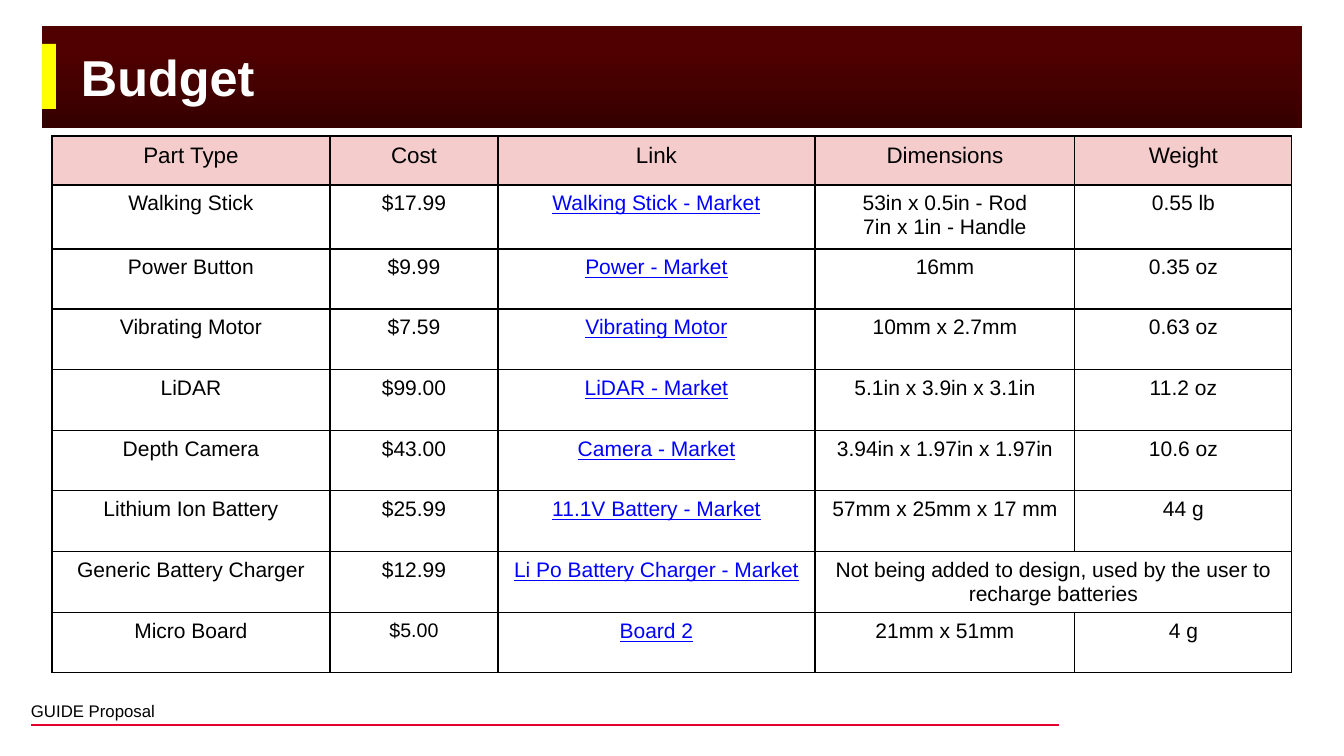
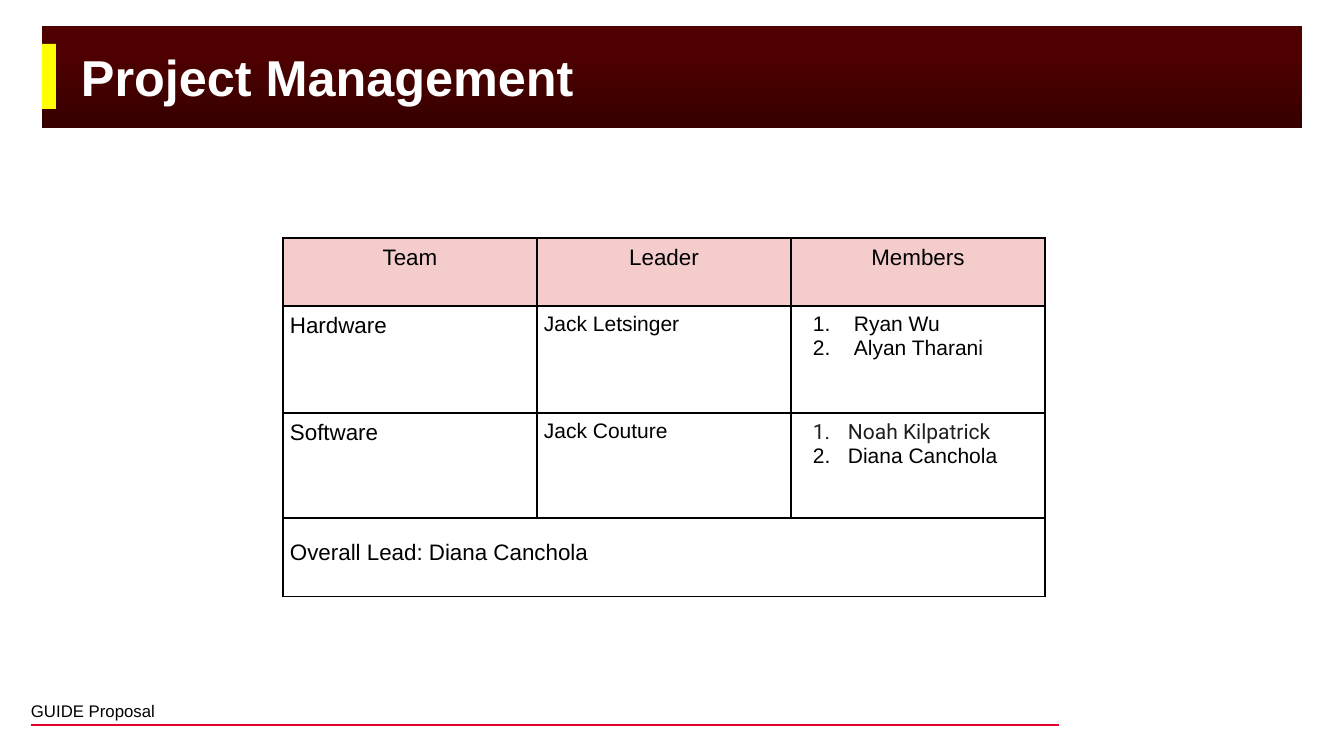
from dataclasses import dataclass

from lxml.etree import SubElement
from pptx import Presentation
from pptx.dml.color import RGBColor as Rgb
from pptx.enum.shapes import MSO_CONNECTOR as Connector, MSO_SHAPE as Shape
from pptx.enum.text import MSO_ANCHOR as Anchor, PP_ALIGN as Align
from pptx.oxml.ns import qn
from pptx.util import Emu, Pt


@dataclass(frozen=True)
class Theme:
    ink: str = "000000"
    soft_ink: str = "1F1F1F"
    white: str = "FFFFFF"
    link: str = "0000FF"
    band_low: str = "370000"
    band_high: str = "500000"
    accent: str = "FFFF00"
    rule: str = "E4002B"
    header: str = "F4CCCC"
    font: str = "Arial"
    alt_font: str = "Roboto"
    title_size: int = 36
    head_size: int = 16
    body_size: int = 15
    small_size: int = 14
    footer_size: int = 12


THEME = Theme()
PX = 914400 / 100.8
CELL_INSET = 7
CELL_BOTTOM = 3


def px(*lengths):
    return [Emu(round(length * PX)) for length in lengths]


def write(frame, text, size=THEME.body_size, color=THEME.ink, font=THEME.font,
          bold=False, underline=False, align=Align.LEFT, number_indent=None):
    """Add one paragraph; number_indent is (text indent, number offset) in px."""
    frame.word_wrap = True
    first = frame.paragraphs[0]
    paragraph = frame.add_paragraph() if first.runs else first
    paragraph.alignment = align
    if number_indent:
        margin, offset = px(*number_indent)
        props = paragraph._p.get_or_add_pPr()
        props.set("marL", str(margin))
        props.set("indent", str(offset))
        SubElement(SubElement(props, qn("a:buClr")), qn("a:srgbClr"), val=color)
        SubElement(props, qn("a:buFont"), typeface=font)
        SubElement(props, qn("a:buAutoNum"), type="arabicPeriod")
    run = paragraph.add_run()
    run.text = text
    run.font.name, run.font.size = font, Pt(size)
    run.font.bold, run.font.underline = bold, underline
    run.font.color.rgb = Rgb.from_string(color)


# Budget content: part, cost, link, dimensions, weight
budget_head = ["Part Type", "Cost", "Link", "Dimensions", "Weight"]
budget_parts = [
    ["Walking Stick", "$17.99", "Walking Stick - Market",
     "53in x 0.5in - Rod\n7in x 1in - Handle", "0.55 lb"],
    ["Power Button", "$9.99", "Power - Market", "16mm", "0.35 oz"],
    ["Vibrating Motor", "$7.59", "Vibrating Motor", "10mm x 2.7mm", "0.63 oz"],
    ["LiDAR", "$99.00", "LiDAR - Market", "5.1in x 3.9in x 3.1in", "11.2 oz"],
    ["Depth Camera", "$43.00", "Camera - Market", "3.94in x 1.97in x 1.97in", "10.6 oz"],
    ["Lithium Ion Battery", "$25.99", "11.1V Battery - Market",
     "57mm x 25mm x 17 mm", "44 g"],
    ["Generic Battery Charger", "$12.99", "Li Po Battery Charger - Market",
     "Not being added to design, used by the user to recharge batteries", None],
    ["Micro Board", "$5.00", "Board 2", "21mm x 51mm", "4 g"],
]
# A cell is a list of (text, format) paragraphs; None continues the cell to its left
heading = dict(size=THEME.head_size, align=Align.CENTER)
centred = dict(align=Align.CENTER)
linked = dict(centred, color=THEME.link, underline=True)
budget_formats = [centred, centred, linked, centred, centred]
budget_rows = [[[(label, heading)] for label in budget_head]]
for part in budget_parts:
    budget_rows.append([
        text and [(line, look) for line in text.split("\n")]
        for text, look in zip(part, budget_formats)])
budget_rows[-1][1] = [("$5.00", dict(centred, size=THEME.small_size))]

# Team content
large = dict(size=THEME.head_size)
wide_number = dict(number_indent=(56, -41))
number = dict(number_indent=(50, -35))
team_rows = [
    [[(label, heading)] for label in ("Team", "Leader", "Members")],
    [[("Hardware", large)], [("Jack Letsinger", {})],
     [("Ryan Wu", wide_number), ("Alyan Tharani", wide_number)]],
    [[("Software", large)], [("Jack Couture", {})],
     [("Noah Kilpatrick", dict(number, font=THEME.alt_font, color=THEME.soft_ink)),
      ("Diana Canchola", number)]],
    [[("Overall Lead: Diana Canchola", large)], None, None],
]

# Title, table corner, column widths, row heights, rows, top inset of the last row
pages = [
    ("Budget", (52, 136), [278, 168, 317, 260, 217],
     [49, 64, 60, 61, 61, 60, 61, 61, 60], budget_rows, CELL_INSET),
    ("Project Management", (283, 238), [254] * 3,
     [68, 107, 105, 79], team_rows, 22),
]

deck = Presentation()
deck.slide_width, deck.slide_height = px(1344, 756)

for title, corner, widths, heights, rows, last_inset in pages:
    slide = deck.slides.add_slide(deck.slide_layouts[6])
    shapes = slide.shapes

    # Footer rule
    rule = shapes.add_connector(Connector.STRAIGHT, *px(31, 725, 1059, 725))
    rule.line.color.rgb = Rgb.from_string(THEME.rule)
    rule.line.width = Pt(1)
    SubElement(rule._element.spPr, qn("a:effectLst"))

    # Title band and accent
    band = shapes.add_shape(Shape.RECTANGLE, *px(42, 26, 1260, 102))
    band.fill.gradient()
    band.fill.gradient_angle = 90
    shades = [(0.05, THEME.band_low), (0.76, THEME.band_high)]
    for stop, (position, shade) in zip(band.fill.gradient_stops, shades):
        stop.position = position
        stop.color.rgb = Rgb.from_string(shade)
    accent = shapes.add_shape(Shape.RECTANGLE, *px(42, 44, 14, 65))
    accent.fill.solid()
    accent.fill.fore_color.rgb = Rgb.from_string(THEME.accent)
    for block in (band, accent):
        block.line.fill.background()
        block.shadow.inherit = False

    # Footer and title text
    for text, place, anchor, insets, look in [
        ("GUIDE Proposal", (31, 701, 1028, 20), Anchor.BOTTOM, (0, 0),
         dict(size=THEME.footer_size)),
        (title, (71, 25, 848, 102), Anchor.MIDDLE, (10, 5),
         dict(size=THEME.title_size, color=THEME.white, bold=True)),
    ]:
        frame = shapes.add_textbox(*px(*place)).text_frame
        frame.vertical_anchor = anchor
        side, edge = px(*insets)
        frame.margin_left = frame.margin_right = side
        frame.margin_top = frame.margin_bottom = edge
        write(frame, text, **look)

    # Table
    table = shapes.add_table(len(rows), len(widths),
                             *px(*corner, sum(widths), sum(heights))).table
    table.first_row = table.horz_banding = False
    for column, width in zip(table.columns, px(*widths)):
        column.width = width
    for line, height in zip(table.rows, px(*heights)):
        line.height = height

    for r, row in enumerate(rows):
        for c, content in enumerate(row):
            cell = table.cell(r, c)
            inset, low_inset, bottom = px(CELL_INSET, last_inset, CELL_BOTTOM)
            cell.margin_left = cell.margin_right = inset
            cell.margin_top = low_inset if r == len(rows) - 1 else inset
            cell.margin_bottom = bottom
            props = cell._tc.get_or_add_tcPr()
            for side in ("lnL", "lnR", "lnT", "lnB"):
                border = SubElement(props, qn(f"a:{side}"), w=str(Pt(1)))
                ink = SubElement(border, qn("a:solidFill"))
                SubElement(ink, qn("a:srgbClr"), val=THEME.ink)
            if r == 0:
                cell.fill.solid()
                cell.fill.fore_color.rgb = Rgb.from_string(THEME.header)
            else:
                cell.fill.background()
            for text, look in content or []:
                write(cell.text_frame, text, **look)
        if None in row:
            table.cell(r, row.index(None) - 1).merge(table.cell(r, len(row) - 1))

deck.save("out.pptx")
